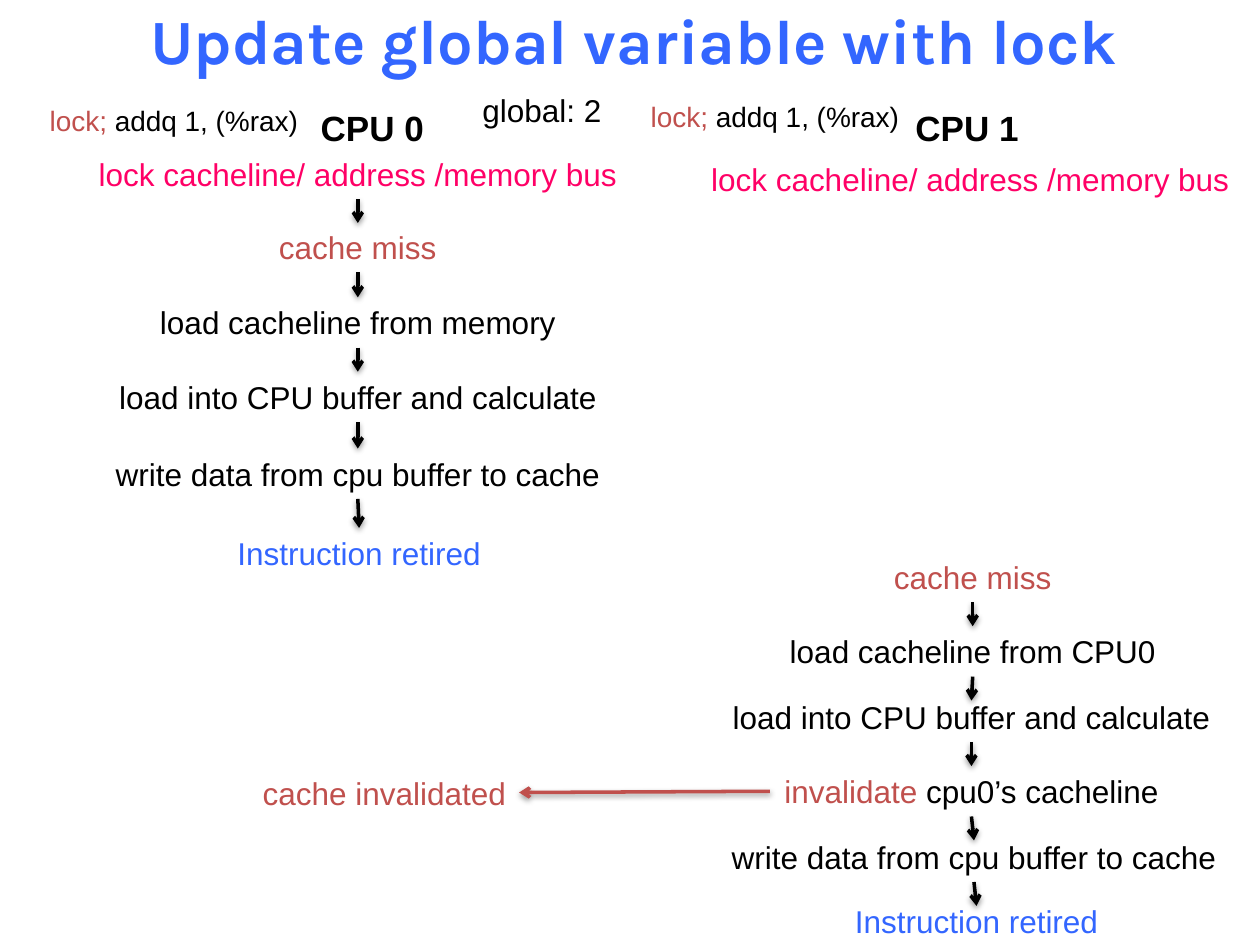
from lxml import etree
from pptx import Presentation
from pptx.dml.color import RGBColor
from pptx.enum import shapes, text
from pptx.oxml import parse_xml
from pptx.oxml.ns import nsdecls, qn
from pptx.util import Inches, Pt

HUE = {"black": "000000", "red": "C0504D", "blue": "3366FF",
       "pink": "FF0066", "white": "FFFFFF"}
TITLE = "Update global variable with lock"
LOCK = [("lock; ", "red"), ("addq 1, (%rax)", "black")]
BUS = [("lock cacheline/ address /memory bus", "pink")]
MISS = [("cache miss", "red")]
CALC = [("load into CPU buffer and calculate", "black")]
WRITE = [("write data from cpu buffer to cache", "black")]
DONE = [("Instruction retired", "blue")]

# runs, centre x, top, width
CPU0 = [
    (BUS, 2.84, 1.18, 4.36),
    (MISS, 2.84, 1.76, 1.46),
    ([("load cacheline from memory", "black")], 2.84, 2.36, 3.37),
    (CALC, 2.84, 2.95, 4.03),
    (WRITE, 2.84, 3.56, 4.1),
    (DONE, 2.85, 4.19, 2.15),
]
CPU1 = [
    (MISS, 7.72, 4.38, 1.46),
    ([("load cacheline from CPU0", "black")], 7.72, 4.97, 3.13),
    (CALC, 7.71, 5.49, 4.03),
    ([("invalidate", "red"), (" cpu0’s cacheline", "black")], 7.71, 6.08, 3.2),
    (WRITE, 7.73, 6.6, 4.1),
    (DONE, 7.75, 7.11, 2.15),
]
LOOSE = [
    (BUS, 7.7, 1.22, 4.36),
    ([("cache invalidated", "red")], 3.05, 6.09, 2.15),
]
# name, left of heading, left and top of code
HEADS = [("CPU 0", 2.44, 0.28, 0.77), ("CPU 1", 7.16, 5.05, 0.74)]
ROW = 0.4   # height of a step
GAP = 0.19  # shortest arrow between steps

SHADOW = (f'<a:effectLst {nsdecls("a")}><a:outerShdw blurRad="40000" '
          'dist="20000" dir="5400000" rotWithShape="0"><a:srgbClr val="000000">'
          '<a:alpha val="38000"/></a:srgbClr></a:outerShdw></a:effectLst>')


def write(shape, runs, size=18, bold=False, font="Arial", align="CENTER",
          wrap=False, anchor="TOP"):
    """Fill a shape with one paragraph of (text, colour) runs."""
    frame = shape.text_frame
    frame.word_wrap = wrap
    frame.auto_size = text.MSO_AUTO_SIZE.NONE
    frame.vertical_anchor = text.MSO_ANCHOR[anchor]
    para = frame.paragraphs[0]
    para.alignment = text.PP_ALIGN[align]
    for words, hue in runs:
        run = para.add_run()
        run.text = words
        run.font.name, run.font.size, run.font.bold = font, Pt(size), bold
        run.font.color.rgb = RGBColor.from_string(HUE[hue])


def box(slide, left, top, width, height=ROW):
    return slide.shapes.add_textbox(*map(Inches, (left, top, width, height)))


def step(slide, runs, mid, top, width):
    write(box(slide, mid - width / 2, top, width), runs)


def arrow(slide, x1, y1, x2, y2, hue="black"):
    line = slide.shapes.add_connector(
        shapes.MSO_CONNECTOR.STRAIGHT, *map(Inches, (x1, y1, x2, y2)))
    line.line.width = Pt(2)
    line.line.color.rgb = RGBColor.from_string(HUE[hue])
    props = line.line._get_or_add_ln()
    etree.SubElement(props, qn("a:tailEnd"), type="arrow")
    line._element.spPr.append(parse_xml(SHADOW))


def flow(slide, steps):
    """Draw a column of steps with an arrow between each pair."""
    for item in steps:
        step(slide, *item)
    for (_, x1, top, _), (_, x2, below, _) in zip(steps, steps[1:]):
        start = top + ROW
        arrow(slide, x1, start, x2, max(below, start + GAP))


def main():
    deck = Presentation()
    deck.slide_width, deck.slide_height = Inches(10), Inches(7.5)
    slide = deck.slides.add_slide(deck.slide_layouts[5])

    title = slide.shapes.title
    title.left, title.top = Inches(0.53), Inches(-0.31)
    title.width, title.height = Inches(9), Inches(1.25)
    write(title, [(TITLE, "blue")], size=36, bold=True, font="Karla",
          wrap=True, anchor="MIDDLE")

    for name, left, code, top in HEADS:
        write(box(slide, left, 0.8, 1.03, 0.44), [(name, "black")],
              size=20, bold=True)
        write(box(slide, code, top, 2.2, 0.37), LOCK, size=16)

    value = box(slide, 3.73, 0.67, 1.16)
    value.fill.solid()
    value.fill.fore_color.rgb = RGBColor.from_string(HUE["white"])
    write(value, [("global: 2", "black")], align="LEFT")

    flow(slide, CPU0)
    flow(slide, CPU1)
    for item in LOOSE:
        step(slide, *item)
    arrow(slide, 6.11, 6.28, 4.12, 6.29, hue="red")

    deck.save("out.pptx")


if __name__ == "__main__":
    main()
